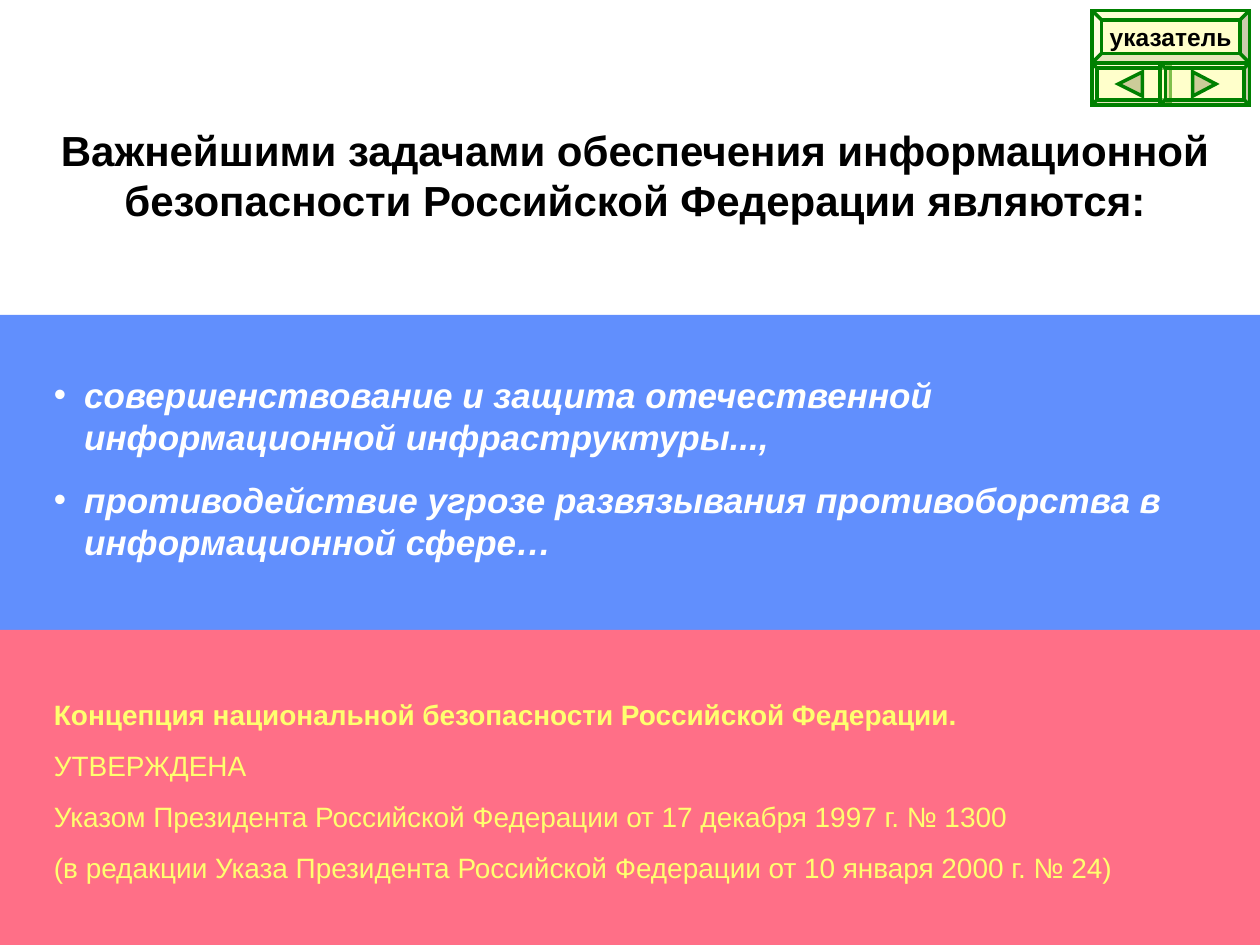
"""Build a slide on the tasks of national information security."""
from dataclasses import dataclass

from lxml import etree
from pptx import Presentation
from pptx.dml.color import RGBColor
from pptx.enum.shapes import MSO_SHAPE
from pptx.enum.text import MSO_ANCHOR, MSO_AUTO_SIZE, PP_ALIGN
from pptx.oxml.ns import qn
from pptx.util import Inches, Pt

RECT, BEVEL = MSO_SHAPE.RECTANGLE, MSO_SHAPE.BEVEL
TOP, MIDDLE = MSO_ANCHOR.TOP, MSO_ANCHOR.MIDDLE
LEFT, CENTER = PP_ALIGN.LEFT, PP_ALIGN.CENTER
NO_FIT = MSO_AUTO_SIZE.NONE

WHITE = RGBColor(0xFF, 0xFF, 0xFF)
BLACK = RGBColor(0, 0, 0)
BLUE = RGBColor(0x61, 0x8F, 0xFD)
PINK = RGBColor(0xFF, 0x6F, 0x87)
LEMON = RGBColor(0xFF, 0xFF, 0x6F)
CREAM = RGBColor(0xFF, 0xFF, 0x99)
OLIVE = RGBColor(0xCC, 0xCC, 0x99)
GREEN = RGBColor(0, 0x80, 0)

FACE = "Arial"
WIDE, HIGH = Inches(10), Inches(7.5)
CELL = WIDE // 120
EDGE, SPAN = 0.33, 9.42
HANG = Inches(0.24)
LEAD = 1.19


@dataclass(frozen=True)
class Style:
    """Look of a line of text."""
    size: int
    color: RGBColor
    bold: bool = False
    slant: bool = False
    gap: float = 0
    align: PP_ALIGN = LEFT
    dot: bool = False


@dataclass(frozen=True)
class Button:
    """Bevelled key, in cells of the grid, with an arrow or a label."""
    col: float
    row: float
    cols: float
    rows: float
    rim: float
    arrow: tuple = ()
    label: str = ""


HEAD = Style(24, BLACK, bold=True, align=CENTER)
TASK = Style(20, WHITE, bold=True, slant=True, gap=12.5, dot=True)
NAME = Style(16, LEMON, bold=True, gap=10)
NOTE = Style(16, LEMON, gap=10)
KEY = Style(14, BLACK, bold=True, align=CENTER)

TITLE = "Важнейшими задачами обеспечения информационной безопасности Российской Федерации являются:"
TASKS = [
    ("совершенствование и защита отечественной информационной инфраструктуры...,", TASK),
    ("противодействие угрозе развязывания противоборства в информационной сфере…", TASK),
]
SOURCE = [
    ("Концепция национальной безопасности Российской Федерации.", NAME),
    ("УТВЕРЖДЕНА", NOTE),
    ("Указом Президента Российской Федерации от 17 декабря 1997 г. № 1300", NOTE),
    ("(в редакции Указа Президента Российской Федерации от 10 января 2000 г. № 24)", NOTE),
]
BUTTONS = [
    Button(104, 6, 7.5, 4, 0.125, arrow=((106.5, 8), (108.8, 6.85), (108.8, 9.15))),
    Button(110.5, 6, 8.5, 4, 0.125, arrow=((113.6, 6.85), (115.8, 8), (113.6, 9.15))),
    Button(104, 1, 15, 5, 0.18, label="указатель"),
]


def write(frame, lines: list) -> None:
    """Fill a text frame with styled lines."""
    frame.auto_size = NO_FIT
    for rank, (text, style) in enumerate(lines):
        para = frame.add_paragraph() if rank else frame.paragraphs[0]
        para.text = text
        para.alignment = style.align
        para.line_spacing = Pt(style.size * LEAD)
        para.space_before = Pt(style.gap if rank else 0)
        if style.dot:
            props = para._p.get_or_add_pPr()
            props.set("marL", str(HANG))
            props.set("indent", str(-HANG))
            tint = etree.SubElement(props, qn("a:buClr"))
            etree.SubElement(tint, qn("a:srgbClr"), val=str(style.color))
            etree.SubElement(props, qn("a:buFont"), typeface=FACE)
            etree.SubElement(props, qn("a:buChar"), char="•")
        font = para.font
        font.name, font.size = FACE, Pt(style.size)
        font.bold, font.italic = style.bold, style.slant
        font.color.rgb = style.color


def place(shape, top: float, height: float) -> None:
    """Set a shape in the text column."""
    shape.left, shape.top = Inches(EDGE), Inches(top)
    shape.width, shape.height = Inches(SPAN), Inches(height)


def block(slide, top: float, height: float, lines: list) -> None:
    """Add a wrapped text block."""
    box = slide.shapes.add_textbox(0, 0, 0, 0)
    place(box, top, height)
    box.text_frame.word_wrap = True
    write(box.text_frame, lines)


def paint(shape, fill: RGBColor) -> None:
    """Give a shape a plain fill and no shadow."""
    shape.shadow.inherit = False
    shape.fill.solid()
    shape.fill.fore_color.rgb = fill


def outline(shape) -> None:
    """Draw a sharp green outline."""
    shape.line.color.rgb = GREEN
    shape.line.width = Pt(2)
    etree.SubElement(shape.line._get_or_add_ln(), qn("a:miter"), lim="800000")


def press(slide, key: Button) -> None:
    """Draw a key."""
    spots = [round(part * CELL) for part in (key.col, key.row, key.cols, key.rows)]
    shape = slide.shapes.add_shape(BEVEL, *spots)
    shape.adjustments[0] = key.rim
    paint(shape, CREAM)
    hue = shape._element.spPr.find(qn("a:solidFill"))[0]
    etree.SubElement(hue, qn("a:alpha"), val="50000")
    outline(shape)
    if key.label:
        frame = shape.text_frame
        frame.word_wrap = False
        frame.vertical_anchor = MIDDLE
        write(frame, [(key.label, KEY)])
    if key.arrow:
        first, *rest = [(round(x * CELL), round(y * CELL)) for x, y in key.arrow]
        pen = slide.shapes.build_freeform(*first)
        pen.add_line_segments(rest, close=True)
        mark = pen.convert_to_shape()
        paint(mark, OLIVE)
        outline(mark)


def main() -> None:
    """Build and save the deck."""
    deck = Presentation()
    deck.slide_width, deck.slide_height = WIDE, HIGH
    slide = deck.slides.add_slide(deck.slide_layouts[5])
    title = slide.shapes.title
    for rank, fill in enumerate((WHITE, BLUE, PINK)):
        band = slide.shapes.add_shape(RECT, 0, rank * HIGH // 3, WIDE, HIGH // 3)
        paint(band, fill)
        band.line.fill.background()
    slide.shapes._spTree.append(title._element)
    place(title, 0.94, 0.9)
    title.text_frame.vertical_anchor = TOP
    title.text_frame.word_wrap = True
    write(title.text_frame, [(TITLE, HEAD)])
    block(slide, 2.92, 1.65, TASKS)
    block(slide, 5.49, 1.6, SOURCE)
    for key in BUTTONS:
        press(slide, key)
    deck.save("out.pptx")


if __name__ == "__main__":
    main()
